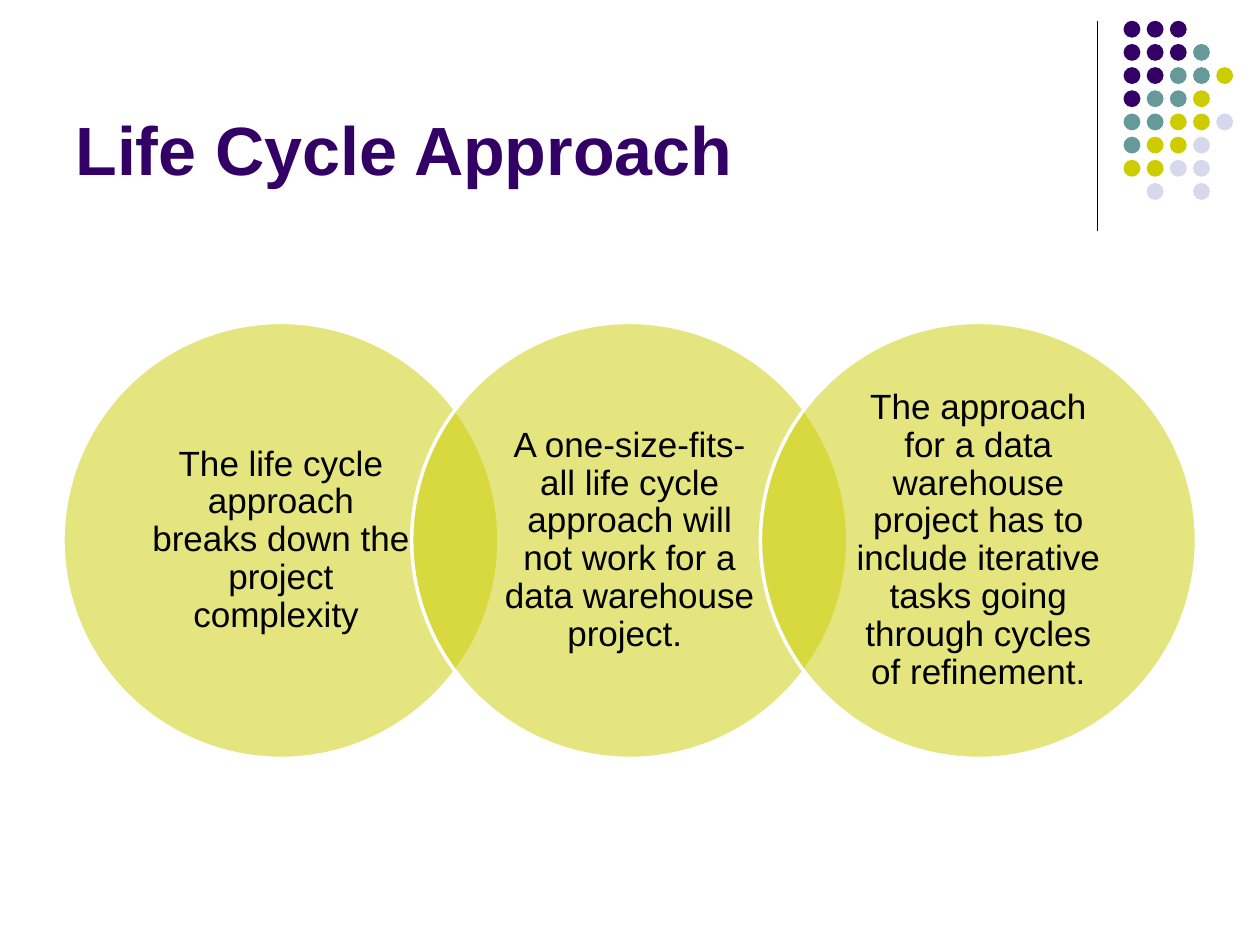
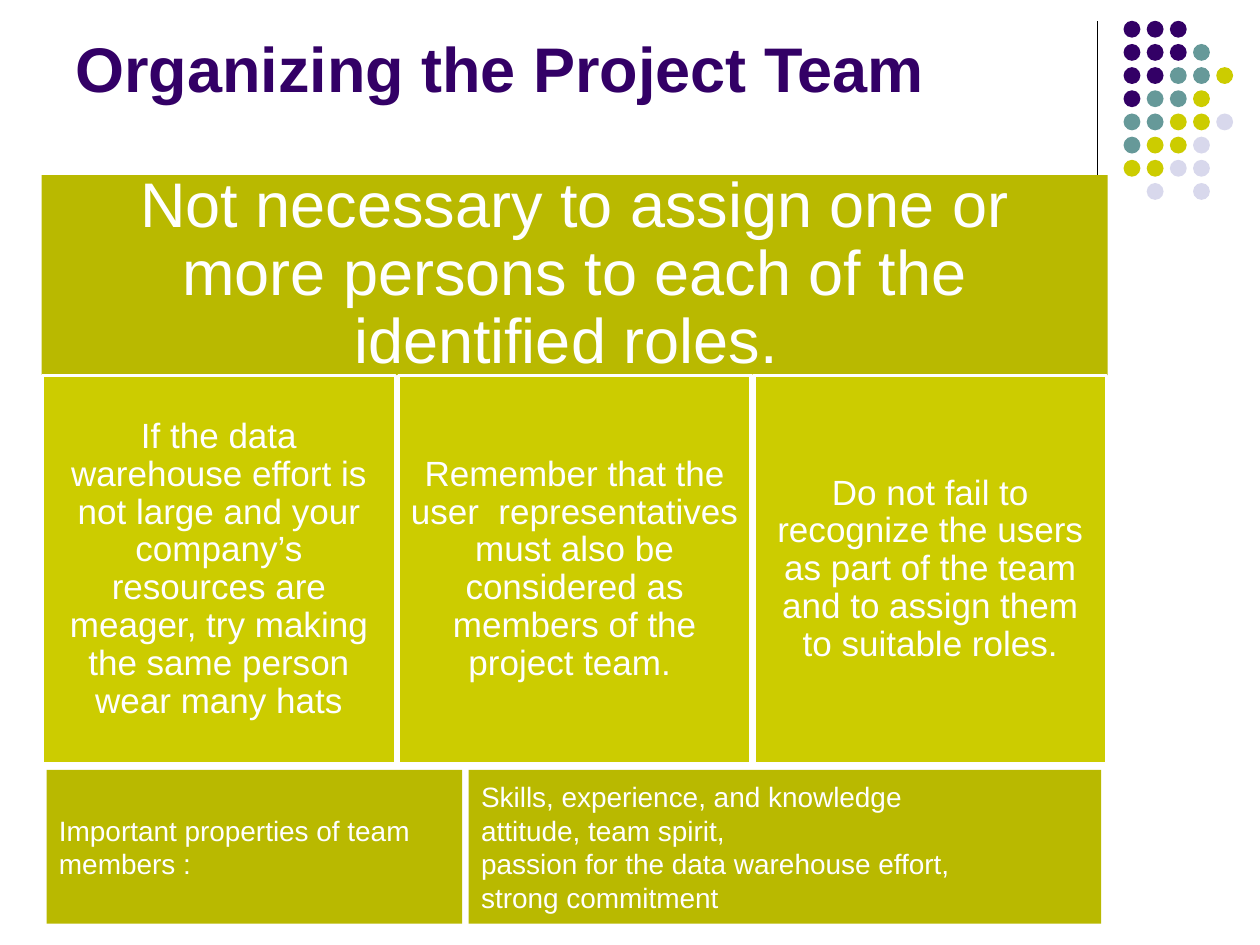
"""Build two slides on the life cycle approach and the project team."""
from lxml import etree
from pptx import Presentation
from pptx.dml.color import RGBColor
from pptx.enum import shapes, text
from pptx.oxml.ns import qn
from pptx.util import Cm, Pt

COLOURS = {
    "purple": "330066",
    "teal": "669999",
    "lime": "CCCC00",
    "olive": "B9B900",
    "lavender": "D8D8EC",
    "white": "FFFFFF",
    "black": "000000",
}
FONT = "Arial"
DOT_COLOURS = {"P": "purple", "T": "teal", "Y": "lime", "L": "lavender"}
DOT_ROWS = ["PPP", "PPPT", "PPTTY", "PTTY", "TTYYL", "TYYL", "YYLL", " L L"]
DOT_PITCH = 3.27 / 7


def add_panel(slide, kind, box, fill, outline=None):
    shape = slide.shapes.add_shape(kind, *[Cm(length) for length in box])
    shape.shadow.inherit = False
    shape.fill.solid()
    shape.fill.fore_color.rgb = RGBColor.from_string(COLOURS[fill])
    if outline:
        shape.line.color.rgb = RGBColor.from_string(COLOURS[outline])
        shape.line.width = Pt(2)
    else:
        shape.line.fill.background()
    return shape


def write_text(shape, lines, size, colour, margins, align=text.PP_ALIGN.LEFT,
               anchor=text.MSO_ANCHOR.MIDDLE, bold=False, spacing=None, after=None):
    frame = shape.text_frame
    frame.word_wrap = True
    frame.auto_size = text.MSO_AUTO_SIZE.NONE
    frame.vertical_anchor = anchor
    frame.margin_left = frame.margin_right = Cm(margins[0])
    frame.margin_top = frame.margin_bottom = Cm(margins[1])
    for index, line in enumerate(lines):
        paragraph = frame.add_paragraph() if index else frame.paragraphs[0]
        paragraph.alignment = align
        if spacing:
            paragraph.line_spacing = spacing
            paragraph.space_after = Pt(after)
        run = paragraph.add_run()
        run.text = line
        run.font.name = FONT
        run.font.size = Pt(size)
        run.font.bold = bold
        run.font.color.rgb = RGBColor.from_string(COLOURS[colour])


presentation = Presentation()
presentation.slide_width = Cm(25.4)
presentation.slide_height = Cm(19.05)
OVAL = shapes.MSO_SHAPE.OVAL
RECTANGLE = shapes.MSO_SHAPE.RECTANGLE
CENTER = text.PP_ALIGN.CENTER

slides = []
for heading, height, size, anchor in [
    ("Life Cycle Approach", 3.61, 39, text.MSO_ANCHOR.BOTTOM),
    ("Organizing the Project Team", 2.06, 36, text.MSO_ANCHOR.MIDDLE),
]:
    slide = presentation.slides.add_slide(presentation.slide_layouts[5])
    slides.append(slide)
    title = slide.shapes.title
    title.left, title.top = Cm(1.27), Cm(0.33)
    title.width, title.height = Cm(20.96), Cm(height)
    write_text(title, [heading], size, "purple", (0.25, 0.13), anchor=anchor, bold=True)

    rule = slide.shapes.add_connector(
        shapes.MSO_CONNECTOR.STRAIGHT, Cm(22.12), Cm(0.43), Cm(22.12), Cm(4.65))
    rule.line.color.rgb = RGBColor.from_string(COLOURS["black"])
    rule.line.width = Pt(0.75)
    etree.SubElement(rule._element.spPr, qn("a:effectLst"))

    for row, pattern in enumerate(DOT_ROWS):
        for column, letter in enumerate(pattern):
            if letter in DOT_COLOURS:
                box = (22.65 + column * DOT_PITCH, 0.42 + row * DOT_PITCH, 0.34, 0.34)
                add_panel(slide, OVAL, box, DOT_COLOURS[letter])

life_cycle, team = slides

for index, statement in enumerate([
    "The life cycle approach breaks down the project complexity ",
    "A one-size-fits-all life cycle approach will not work for a data warehouse project. ",
    "The approach for a data warehouse project has to include iterative tasks "
    "going through cycles of refinement.",
]):
    circle = add_panel(life_cycle, OVAL, (1.27 + index * 7.03, 6.5, 8.79, 8.79),
                       "lime", "white")
    fill_colour = circle.fill._xPr.find(qn("a:solidFill"))[0]
    etree.SubElement(fill_colour, qn("a:alpha"), val="50000")
    write_text(circle, [statement], 20, "black", (0.49, 0.06), CENTER,
               spacing=0.9, after=8.8)

banner = add_panel(team, RECTANGLE, (0.84, 3.53, 21.49, 4.05), "olive")
write_text(
    banner,
    ["Not necessary to assign one or more persons to each of the identified roles. "],
    36, "white", (0.38, 0.38), CENTER, spacing=0.9, after=15.8)

for index, advice in enumerate([
    "If the data warehouse effort is not large and your company’s resources are "
    "meager, try making the same person wear many hats",
    "Remember that the user  representatives must also be considered as members "
    "of the project team. ",
    "Do not fail to recognize the users as part of the team and to assign them "
    "to suitable roles.",
]):
    tile = add_panel(team, RECTANGLE, (0.86 + index * 7.17, 7.57, 7.11, 7.82),
                     "lime", "white")
    write_text(tile, [advice], 20, "white", (0.25, 0.25), CENTER, spacing=0.9, after=8.8)

for left, width, lines in [
    (9.45, 12.75, ["Skills, experience, and knowledge", "attitude, team spirit,",
                   "passion for the data warehouse effort,", "strong commitment"]),
    (0.94, 8.38, ["Important properties of team members :"]),
]:
    panel = add_panel(team, RECTANGLE, (left, 15.52, width, 3.1), "olive")
    write_text(panel, lines, 16, "white", (0.25, 0.13))

presentation.save("out.pptx")
